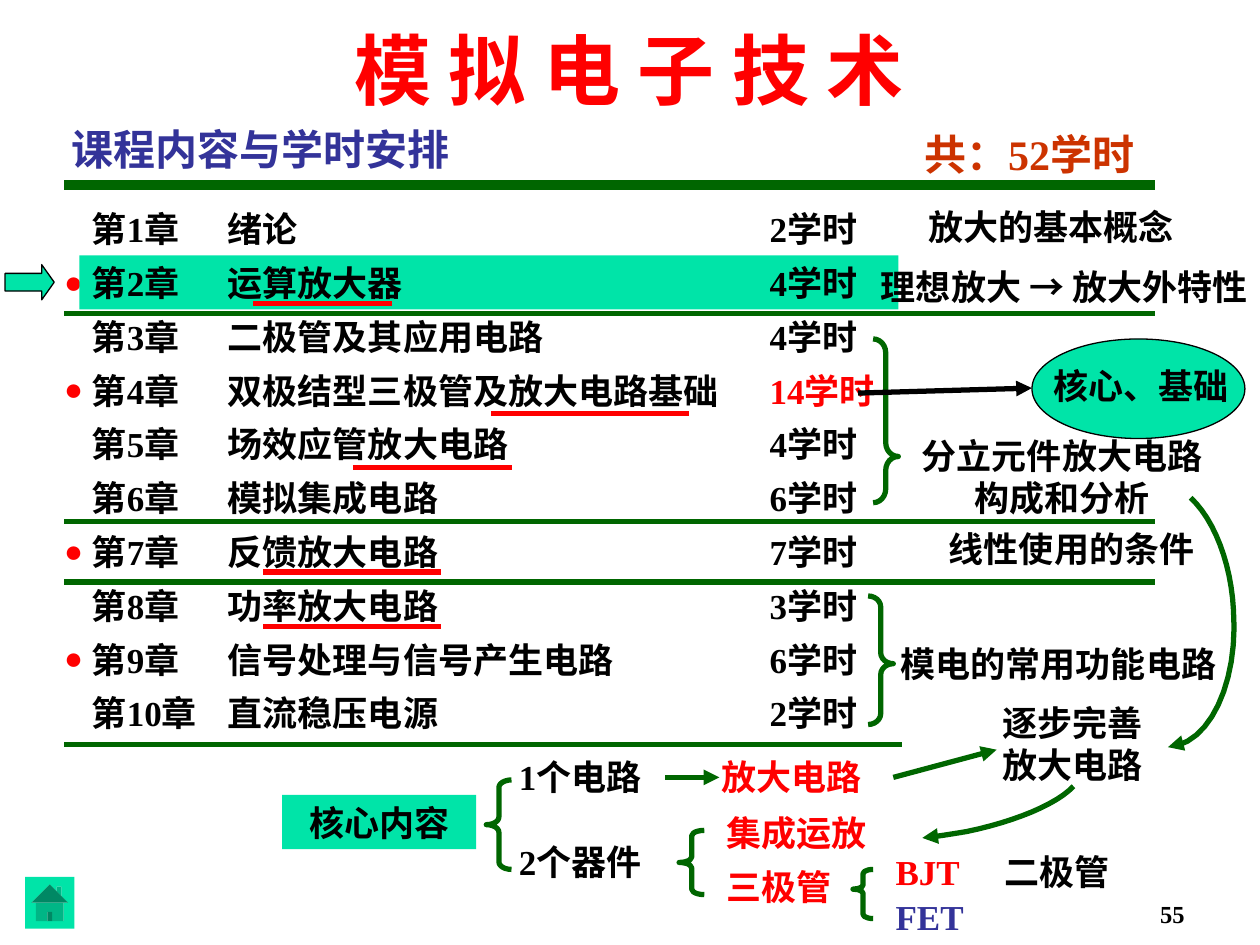
import pptx
import pptx.dml.color
import pptx.enum.shapes
import pptx.enum.text
import pptx.oxml
import pptx.oxml.ns
import pptx.util

Inches = pptx.util.Inches
RGBColor = pptx.dml.color.RGBColor
SHAPE = pptx.enum.shapes.MSO_SHAPE
ALIGN = pptx.enum.text.PP_ALIGN
ANCHOR = pptx.enum.text.MSO_ANCHOR

BLACK = RGBColor(0x00, 0x00, 0x00)
RED = RGBColor(0xFF, 0x00, 0x00)
GREEN = RGBColor(0x00, 0x66, 0x00)
MINT = RGBColor(0x00, 0xE4, 0xA8)
NAVY = RGBColor(0x33, 0x33, 0x99)
RUST = RGBColor(0xCC, 0x33, 0x00)

FONT = "Times New Roman"
ROW_TOP, ROW_PITCH, ROW_HEIGHT = 1.6, 0.427, 0.43
ROW_LEFT, ROW_WIDTH = 0.63, 6.5
ROW_TABS = (1.08, 5.38)
KEY_CHAPTERS = (2, 4, 7, 9)
CURRENT_CHAPTER = 2

CHAPTERS = [
    ("绪论", 2),
    ("运算放大器", 4),
    ("二极管及其应用电路", 4),
    ("双极结型三极管及放大电路基础", 14),
    ("场效应管放大电路", 4),
    ("模拟集成电路", 6),
    ("反馈放大电路", 7),
    ("功率放大电路", 3),
    ("信号处理与信号产生电路", 6),
    ("直流稳压电源", 2),
]
LABELS = [
    ("放大的基本概念", (6.73, 1.58, 3.23, 0.43), BLACK, ALIGN.CENTER),
    ("理想放大 → 放大外特性", (6.77, 2.06, 3.23, 0.43), BLACK, ALIGN.RIGHT),
    ("核心、基础", (8.19, 2.84, 1.73, 0.43), BLACK, ALIGN.CENTER),
    ("分立元件放大电路\n构成和分析", (7.05, 3.4, 2.76, 0.77), BLACK, ALIGN.CENTER),
    ("线性使用的条件", (7.01, 4.14, 2.99, 0.43), BLACK, ALIGN.CENTER),
    ("模电的常用功能电路", (7.05, 5.05, 2.76, 0.43), BLACK, ALIGN.LEFT),
    ("逐步完善\n放大电路", (7.76, 5.52, 1.5, 0.77), BLACK, ALIGN.CENTER),
    ("1个电路", (4.02, 5.95, 1.34, 0.43), BLACK, ALIGN.LEFT),
    ("2个器件", (4.02, 6.62, 1.26, 0.43), BLACK, ALIGN.LEFT),
    ("放大电路", (5.63, 5.95, 1.5, 0.43), RED, ALIGN.LEFT),
    ("集成运放", (5.67, 6.39, 1.49, 0.43), RED, ALIGN.LEFT),
    ("三极管", (5.67, 6.82, 1.18, 0.43), RED, ALIGN.LEFT),
    ("BJT", (7.01, 6.7, 0.94, 0.43), RED, ALIGN.LEFT),
    ("FET", (7.01, 7.06, 0.94, 0.43), NAVY, ALIGN.LEFT),
    ("二极管", (7.87, 6.7, 1.18, 0.43), BLACK, ALIGN.LEFT),
]
BRACES = [
    (SHAPE.RIGHT_BRACE, (6.93, 2.69, 0.2, 1.3), (0.547, 0.718)),
    (SHAPE.RIGHT_BRACE, (6.89, 4.73, 0.2, 1.02), (0.435, 0.527)),
    (SHAPE.LEFT_BRACE, (3.86, 6.19, 0.2, 0.71), (0.301, 0.5)),
    (SHAPE.LEFT_BRACE, (5.39, 6.59, 0.2, 0.51), (0.217, 0.5)),
    (SHAPE.LEFT_BRACE, (6.77, 6.9, 0.16, 0.39), (0.21, 0.402)),
]
SECTION_RULES = [(2.49, 9.17), (4.14, 9.17), (4.62, 9.17), (5.91, 7.16)]
UNDERLINES = [(2.01, 3.11, 2.41), (3.9, 5.47, 3.28), (2.8, 4.06, 3.71),
              (2.09, 3.5, 4.54), (2.09, 3.5, 4.97)]
ARROWS = [
    ((6.81, 3.12), (8.19, 3.08), BLACK),
    ((7.09, 6.17), (7.91, 5.95), GREEN),
    ((5.28, 6.17), (5.71, 6.17), GREEN),
]
CURVES = [
    [(8.52, 6.24), (8.39, 6.38), (8.06, 6.52), (7.67, 6.6),
     (7.55, 6.62), (7.43, 6.64), (7.32, 6.65)],
    [(9.45, 3.95), (9.64, 4.13), (9.77, 4.47), (9.79, 4.84),
     (9.83, 5.42), (9.6, 5.91), (9.27, 5.93)],
]


def inches(box):
    return [Inches(length) for length in box]


def format_run(run, color, size=20, bold=True):
    run.font.name = FONT
    run.font.size = pptx.util.Pt(size)
    run.font.bold = bold
    run.font.color.rgb = color


def write(holder, text, color=BLACK, align=ALIGN.LEFT, size=20, bold=True,
          anchor=ANCHOR.TOP):
    frame = holder.text_frame
    frame.word_wrap = True
    frame.vertical_anchor = anchor
    frame.text = text
    for paragraph in frame.paragraphs:
        paragraph.alignment = align
        for run in paragraph.runs:
            format_run(run, color, size, bold)


def add_label(slide, text, box, *style, **options):
    write(slide.shapes.add_textbox(*inches(box)), text, *style, **options)


def add_preset(slide, kind, box, fill=None, line=None, width=0.75, adjust=()):
    preset = slide.shapes.add_shape(kind, *inches(box))
    preset.shadow.inherit = False
    for index, value in enumerate(adjust):
        preset.adjustments[index] = value
    if fill is None:
        preset.fill.background()
    else:
        preset.fill.solid()
        preset.fill.fore_color.rgb = fill
    if line is None:
        preset.line.fill.background()
    else:
        stroke(preset, line, width)
    return preset


def stroke(outline, color, width, arrow=False):
    outline.line.color.rgb = color
    outline.line.width = pptx.util.Pt(width)
    if arrow:
        ln = outline.line._get_or_add_ln()
        pptx.oxml.xmlchemy.OxmlElement
        tail = pptx.oxml.parse_xml(
            f'<a:tailEnd {pptx.oxml.ns.nsdecls("a")} type="triangle"/>')
        ln.append(tail)


def add_line(slide, start, end, color, width=3, arrow=False):
    line = slide.shapes.add_connector(
        pptx.enum.shapes.MSO_CONNECTOR.STRAIGHT, *inches(start + end))
    stroke(line, color, width, arrow)
    line._element.spPr.append(pptx.oxml.parse_xml(
        f'<a:effectLst {pptx.oxml.ns.nsdecls("a")}/>'))


def bezier_point(controls, t):
    weights = ((1 - t) ** 3, 3 * t * (1 - t) ** 2, 3 * t * t * (1 - t), t ** 3)
    return tuple(Inches(sum(w * c[axis] for w, c in zip(weights, controls)))
                 for axis in (0, 1))


def add_curved_arrow(slide, controls, steps=12):
    points = [bezier_point(controls[first:first + 4], step / steps)
              for first in range(0, len(controls) - 1, 3)
              for step in range(1, steps + 1)]
    builder = slide.shapes.build_freeform(*inches(controls[0]))
    builder.add_line_segments(points, close=False)
    curve = builder.convert_to_shape()
    curve.shadow.inherit = False
    curve.fill.background()
    stroke(curve, GREEN, 3, arrow=True)


def add_chapter(slide, number, title, hours):
    box = (ROW_LEFT, ROW_TOP + (number - 1) * ROW_PITCH, ROW_WIDTH, ROW_HEIGHT)
    if number == CURRENT_CHAPTER:
        row = add_preset(slide, SHAPE.RECTANGLE, box, MINT)
    else:
        row = slide.shapes.add_textbox(*inches(box))
    write(row, f"第{number}章\t{title}\t")
    paragraph = row.text_frame.paragraphs[0]
    stops = "".join(f'<a:tab pos="{Inches(stop)}" algn="l"/>' for stop in ROW_TABS)
    paragraph._p.get_or_add_pPr().append(pptx.oxml.parse_xml(
        f'<a:tabLst {pptx.oxml.ns.nsdecls("a")}>{stops}</a:tabLst>'))
    duration = paragraph.add_run()
    duration.text = f"{hours}学时"
    format_run(duration, RED if hours > 10 else BLACK)


def add_headings(slide):
    heading = slide.shapes.title
    heading.left, heading.top, heading.width, heading.height = inches(
        (0.47, 0.88, 4.53, 0.55))
    write(heading, "课程内容与学时安排", NAVY, size=24, anchor=ANCHOR.BOTTOM)
    add_label(slide, "模 拟 电 子 技 术", (0.66, 0.09, 8.67, 0.87), RED,
              ALIGN.CENTER, size=44, anchor=ANCHOR.BOTTOM)
    add_label(slide, "共：52学时", (6.5, 0.97, 2.6, 0.5), RUST, ALIGN.RIGHT, size=24)
    add_label(slide, "55", (7.42, 6.92, 2.08, 0.5), BLACK, ALIGN.RIGHT,
              size=14, anchor=ANCHOR.BOTTOM)
    add_line(slide, (0.51, 1.47), (9.17, 1.47), GREEN, 6)


def main():
    deck = pptx.Presentation()
    deck.slide_width, deck.slide_height = inches((10, 7.5))
    slide = deck.slides.add_slide(deck.slide_layouts[5])
    add_headings(slide)
    for number in KEY_CHAPTERS:
        add_label(slide, "●", (0.27, ROW_TOP + (number - 1) * ROW_PITCH, 0.63, 0.4),
                  RED, ALIGN.CENTER, size=18)
    for number, (title, hours) in enumerate(CHAPTERS, 1):
        add_chapter(slide, number, title, hours)
    add_preset(slide, SHAPE.ACTION_BUTTON_HOME, (0.2, 6.96, 0.39, 0.41), MINT)
    add_preset(slide, SHAPE.RIGHT_ARROW, (0.04, 2.1, 0.39, 0.28), MINT, BLACK,
               adjust=(0.5, 0.355))
    add_preset(slide, SHAPE.OVAL, (8.19, 2.69, 1.69, 0.79), MINT, BLACK)
    core = add_preset(slide, SHAPE.RECTANGLE, (2.24, 6.31, 1.54, 0.43), MINT)
    write(core, "核心内容", align=ALIGN.CENTER)
    for label in LABELS:
        add_label(slide, *label)
    for kind, box, adjust in BRACES:
        add_preset(slide, kind, box, None, GREEN, 3, adjust)
    for y, right in SECTION_RULES:
        add_line(slide, (0.51, y), (right, y), GREEN)
    for left, right, y in UNDERLINES:
        add_line(slide, (left, y), (right, y), RED)
    for start, end, color in ARROWS:
        add_line(slide, start, end, color, arrow=True)
    for controls in CURVES:
        add_curved_arrow(slide, controls)
    deck.save("out.pptx")


if __name__ == "__main__":
    main()
